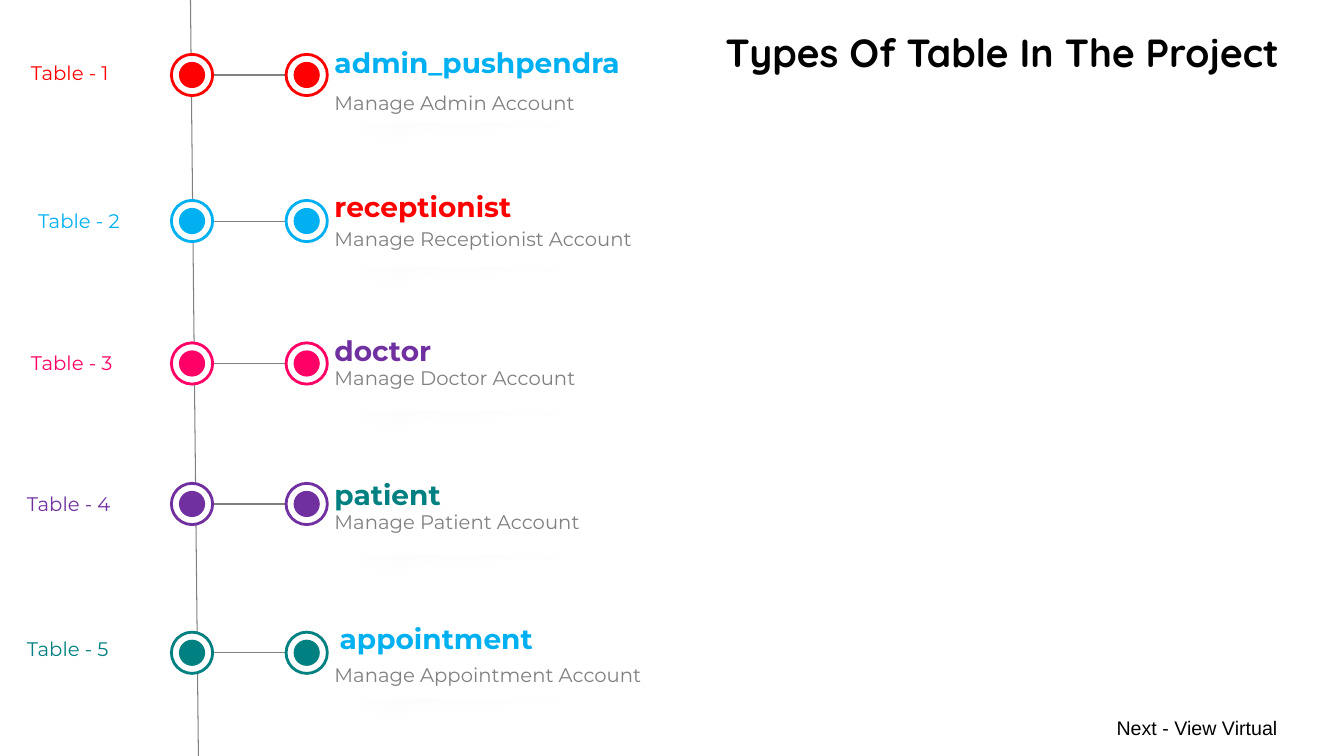
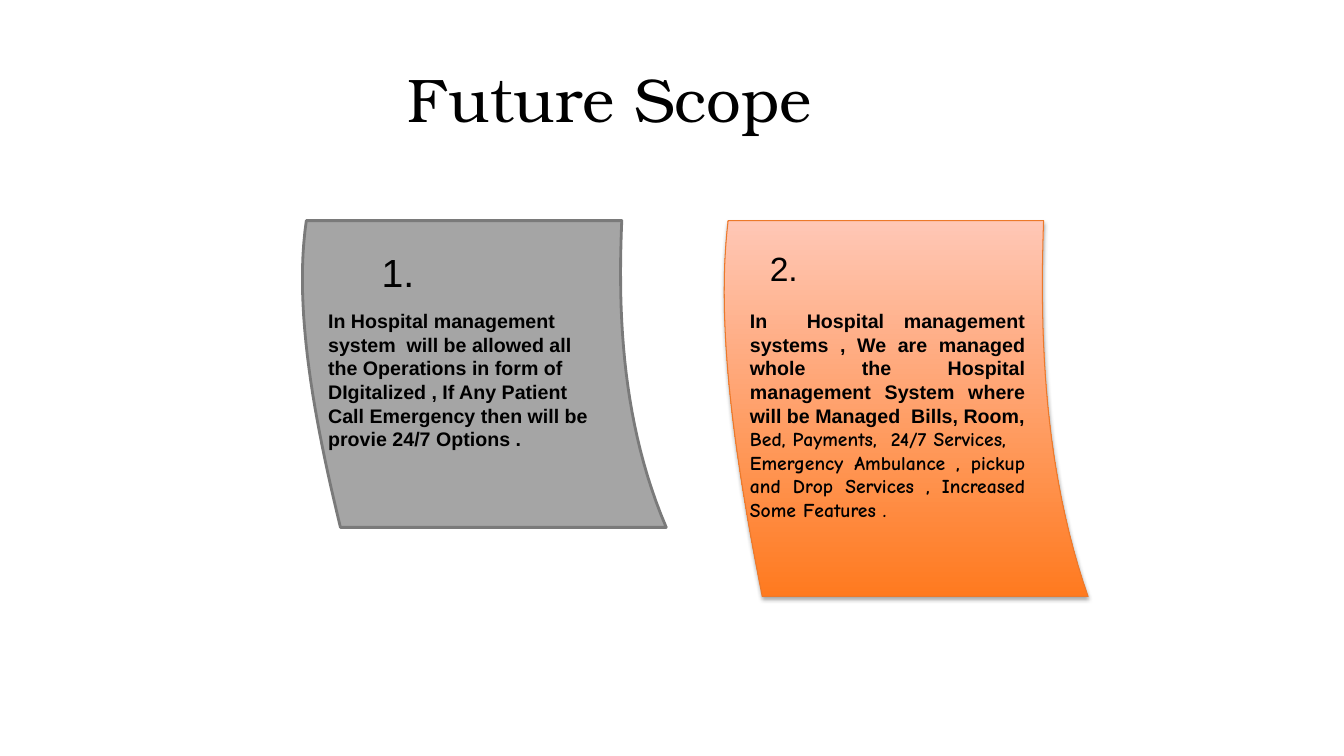
import pptx
import pptx.util
import pptx.dml.color
import pptx.enum.shapes
import pptx.enum.text
import pptx.oxml
import pptx.oxml.ns

Cm, Pt = pptx.util.Cm, pptx.util.Pt
RGBColor = pptx.dml.color.RGBColor
MSO_SHAPE = pptx.enum.shapes.MSO_SHAPE
ALIGN = pptx.enum.text.PP_ALIGN
NS = pptx.oxml.ns.nsdecls("a")

BLACK = RGBColor(0x00, 0x00, 0x00)
WHITE = RGBColor(0xFF, 0xFF, 0xFF)
GREY = RGBColor(0x80, 0x80, 0x80)
RED = RGBColor(0xFF, 0x00, 0x00)
BLUE = RGBColor(0x00, 0xB0, 0xF0)
PINK = RGBColor(0xFF, 0x00, 0x66)
PURPLE = RGBColor(0x70, 0x30, 0xA0)
TEAL = RGBColor(0x00, 0x80, 0x80)
NOTE_GREY = RGBColor(0xA5, 0xA5, 0xA5)
NOTE_GREY_EDGE = RGBColor(0x7A, 0x7A, 0x7A)
NOTE_ORANGE = RGBColor(0xFF, 0x7A, 0x1F)
NOTE_PEACH = RGBColor(0xFF, 0xC7, 0xB6)
NOTE_ORANGE_EDGE = RGBColor(0xEC, 0x79, 0x2B)


def add_shape(s, kind, x, y, w, h, fill, line=None):
    sp = s.shapes.add_shape(kind, Cm(x), Cm(y), Cm(w), Cm(h))
    sp.shadow.inherit = False
    sp.fill.solid()
    sp.fill.fore_color.rgb = fill
    if line is None:
        sp.line.fill.background()
    else:
        sp.line.color.rgb = line
        sp.line.width = Pt(2)
    return sp


def add_text(s, x, y, w, h, paragraphs, size, color=BLACK, bold=False, align=None):
    """Each paragraph is a (text, font) pair."""
    tf = s.shapes.add_textbox(Cm(x), Cm(y), Cm(w), Cm(h)).text_frame
    tf.word_wrap = True
    for i, (text, font) in enumerate(paragraphs):
        p = tf.paragraphs[0] if i == 0 else tf.add_paragraph()
        p.alignment = align
        r = p.add_run()
        r.text = text
        r.font.name = font
        r.font.size = Pt(size)
        r.font.bold = bold
        r.font.color.rgb = color


prs = pptx.Presentation()
prs.slide_width, prs.slide_height = Cm(33.87), Cm(19.05)
blank = prs.slide_layouts[6]

# Slide 1: timeline of tables
s = prs.slides.add_slide(blank)

# number, colour, marker y, backing x, label x, label y,
# name, name colour, name x, detail, detail y
rows = [
    ("1", RED, 1.37, 0.53, 0.53, 1.42,
     "admin_pushpendra", BLUE, 8.18, "Manage Admin Account", 2.16),
    ("2", BLUE, 5.05, 0.43, 0.71, 5.13,
     "receptionist", RED, 8.18, "Manage Receptionist Account", 5.59),
    ("3", PINK, 8.64, 0.36, 0.53, 8.71,
     "doctor", PURPLE, 8.18, "Manage Doctor Account", 9.09),
    ("4", PURPLE, 12.18, 0.38, 0.43, 12.27,
     "patient", TEAL, 8.18, "Manage Patient Account", 12.73),
    ("5", TEAL, 15.93, 0.15, 0.43, 15.93,
     "appointment", BLUE, 8.31, "Manage Appointment Account", 16.59),
]
CARD_TOP, CARD_STEP, CARD_H = 0.69, 3.63, 2.41
MARKER, DOT = 1.04, 0.66
MARKER_XS = (4.32, 7.21)

# Spine and row links
links = [(4.8, 0, 5, 19.05)]
links += [(MARKER_XS[0] + MARKER, row[2] + MARKER / 2, MARKER_XS[1], row[2] + MARKER / 2)
          for row in rows]
for x1, y1, x2, y2 in links:
    c = s.shapes.add_connector(pptx.enum.shapes.MSO_CONNECTOR.STRAIGHT,
                               Cm(x1), Cm(y1), Cm(x2), Cm(y2))
    c.line.color.rgb = GREY
    c.line.width = Pt(0.75)
    c._element.spPr.append(pptx.oxml.parse_xml(f"<a:effectLst {NS}/>"))

# Tilted soft shadows under labels and cards
shadows = [(row[3] - 0.53, row[2] + 0.31, 4.17, 1.5) for row in rows]
shadows += [(7.42, CARD_TOP + 1.01 + i * CARD_STEP, 9.75, CARD_H) for i in range(len(rows))]
for x, y, w, h in shadows:
    sp = add_shape(s, MSO_SHAPE.RECTANGLE, x, y, w, h, BLACK)
    sp.rotation = 353.8
    color = sp._element.spPr.find(".//" + pptx.oxml.ns.qn("a:srgbClr"))
    color.append(pptx.oxml.parse_xml(f'<a:alpha {NS} val="40000"/>'))
    effects = sp._element.spPr.find(pptx.oxml.ns.qn("a:effectLst"))
    effects.append(pptx.oxml.parse_xml(f'<a:softEdge {NS} rad="317500"/>'))

# Cards, labels and markers
for i, (number, color, y, back_x, label_x, label_y,
        name, name_color, name_x, detail, detail_y) in enumerate(rows):
    top = CARD_TOP + i * CARD_STEP
    add_shape(s, MSO_SHAPE.ROUNDED_RECTANGLE, 7.8, top, 12.75, CARD_H, WHITE)
    add_text(s, name_x, top + 0.32, 8.3, 1.12, [(name, "Montserrat")], 20, name_color, True)
    add_text(s, 8.18, detail_y, 11.79, 0.86, [(detail, "Montserrat")], 14, GREY)
    add_shape(s, MSO_SHAPE.ROUNDED_RECTANGLE, back_x, y, 4.39, 1.04, WHITE)
    add_text(s, label_x, label_y, 3.2, 0.86, [("Table - " + number, "Montserrat")], 14, color)
    for x in MARKER_XS:
        inset = (MARKER - DOT) / 2
        add_shape(s, MSO_SHAPE.OVAL, x, y, MARKER, MARKER, WHITE, color)
        add_shape(s, MSO_SHAPE.OVAL, x + inset, y + inset, DOT, DOT, color)

# Title and closing line
add_text(s, 18.03, 0.58, 15.27, 1.45,
         [("Types Of Table In The Project", "Quicksand")], 28, bold=True)
add_text(s, 27.89, 17.91, 5.51, 0.86, [("Next - View Virtual", "Arial")], 14)

# Slide 2: future scope
s = prs.slides.add_slide(blank)
add_text(s, 10.03, 1.4, 14.27, 2.13, [("Future Scope", "TeX Gyre Bonum")], 44)

# Curled notes: left, height, number, number x, number size, paragraphs, alignment
notes = [
    (7.72, 7.73, "1.", 9.37, 28,
     [("In Hospital management system  will be allowed all the Operations in form of "
       "DIgitalized , If Any Patient Call Emergency then will be provie 24/7 Options .",
       "Arial")], ALIGN.LEFT),
    (18.35, 9.47, "2.", 19.15, 24,
     [("In  Hospital management systems , We are managed whole the Hospital management "
       "System where will be Managed  Bills, Room,", "Arial"),
      ("Bed, Payments,  24/7 Services,", "Comic Neue"),
      ("Emergency Ambulance , pickup and Drop Services , Increased Some Features .",
       "Comic Neue")], ALIGN.JUSTIFY),
]
# Cubic control points of the two sides: x in cm, y as a share of the height
RIGHT_SIDE = [(7.95, 0), (7.84, 0.32), (7.98, 0.67), (9.07, 1)]
LEFT_SIDE = [(0.86, 1), (0.22, 0.66), (-0.33, 0.29), (0, 0)]
NOTE_TOP, STEPS = 5.56, 24

for left, height, number, number_x, number_size, paragraphs, align in notes:
    outline = []
    for side in (RIGHT_SIDE, LEFT_SIDE):
        for k in range(STEPS + 1):
            t = k / STEPS
            weights = ((1 - t) ** 3, 3 * t * (1 - t) ** 2, 3 * t * t * (1 - t), t ** 3)
            x = sum(b * pt[0] for b, pt in zip(weights, side))
            y = sum(b * pt[1] for b, pt in zip(weights, side))
            outline.append((Cm(left + x), Cm(NOTE_TOP + y * height)))
    builder = s.shapes.build_freeform(*outline[0])
    builder.add_line_segments(outline[1:], close=True)
    sp = builder.convert_to_shape()
    sp.shadow.inherit = False
    if number == "1.":
        sp.fill.solid()
        sp.fill.fore_color.rgb = NOTE_GREY
        sp.line.color.rgb = NOTE_GREY_EDGE
        sp.line.width = Pt(2)
    else:
        sp.fill.gradient()
        sp.fill.gradient_angle = 90
        for stop, color in zip(sp.fill.gradient_stops, (NOTE_ORANGE, NOTE_PEACH)):
            stop.color.rgb = color
        sp.line.color.rgb = NOTE_ORANGE_EDGE
        sp.line.width = Pt(0.75)
        effects = sp._element.spPr.find(pptx.oxml.ns.qn("a:effectLst"))
        effects.append(pptx.oxml.parse_xml(
            f'<a:outerShdw {NS} blurRad="39370" dist="22860" dir="5400000" rotWithShape="0">'
            '<a:srgbClr val="000000"><a:alpha val="35000"/></a:srgbClr></a:outerShdw>'))
    add_text(s, left + 0.3, 7.67, 7.44, 4, paragraphs, 14, bold=True, align=align)
    add_text(s, number_x, 6.12, 5.16, 1.4, [(number, "Arial")], number_size)

prs.save("out.pptx")
